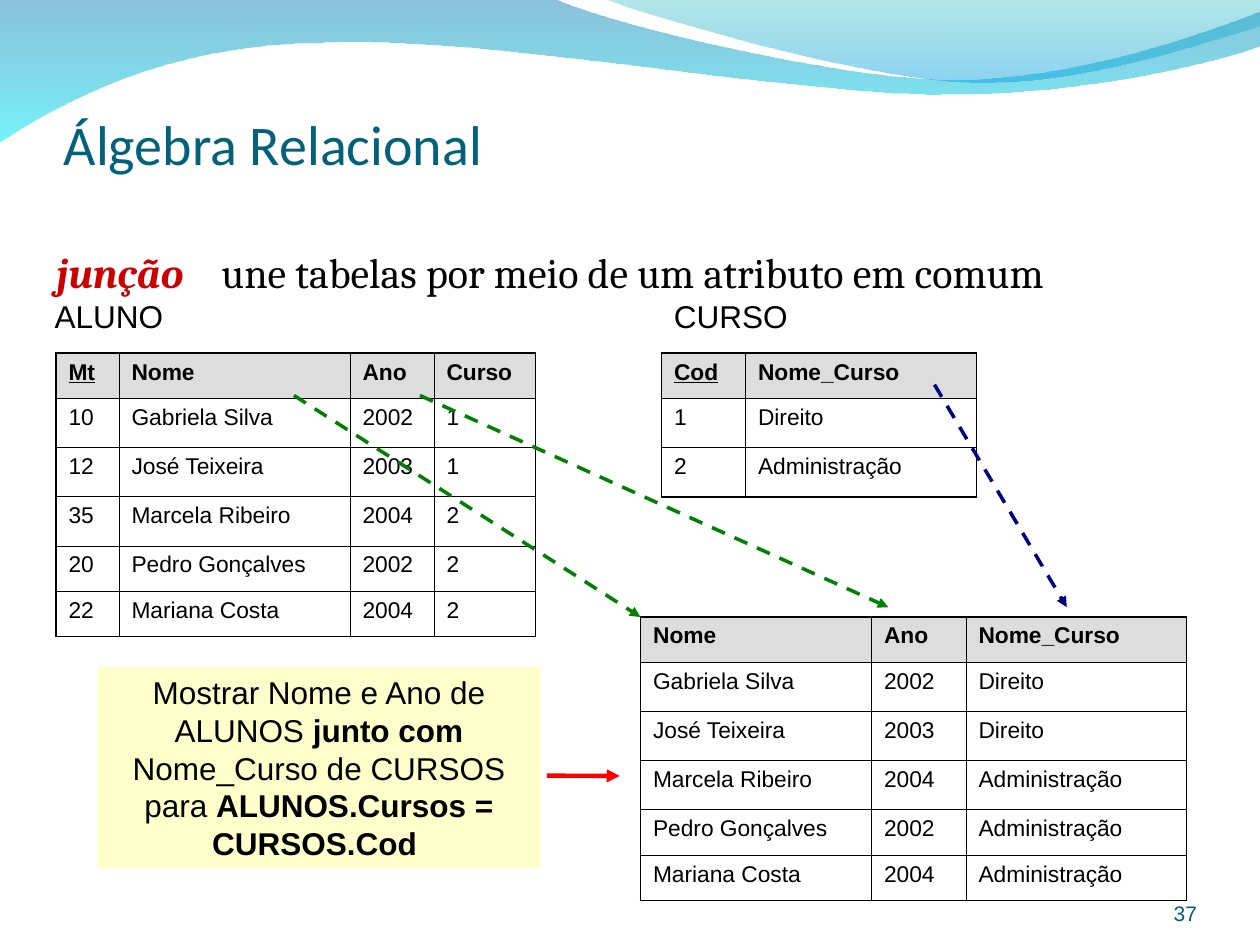
from dataclasses import dataclass

from lxml import etree
from pptx import Presentation
from pptx.dml.color import RGBColor
from pptx.enum.dml import MSO_LINE
from pptx.enum.shapes import MSO_CONNECTOR, MSO_SHAPE
from pptx.enum.text import MSO_ANCHOR, PP_ALIGN
from pptx.oxml.ns import qn
from pptx.util import Pt

STRAIGHT = MSO_CONNECTOR.STRAIGHT
RECTANGLE = MSO_SHAPE.RECTANGLE
DASH = MSO_LINE.DASH
TOP, BOTTOM = MSO_ANCHOR.TOP, MSO_ANCHOR.BOTTOM
LEFT, CENTER, RIGHT = PP_ALIGN.LEFT, PP_ALIGN.CENTER, PP_ALIGN.RIGHT

BLACK = "000000"
HEADER_GREY = "DDDDDD"
TALL, SHORT = 28.1, 25.9
DEFAULT_INSETS = (7.2, 3.6, 7.2, 3.6)


@dataclass
class Run:
    text: str
    color: str = BLACK
    bold: bool = False
    italic: bool = False


@dataclass
class TextBlock:
    box: tuple
    runs: list
    size: float
    font: str = "Arial"
    align: int = LEFT
    anchor: int = TOP
    insets: tuple = DEFAULT_INSETS
    wrap: bool = True
    fill: str = ""
    line_spacing: float = 1.0
    tab: float = 0


@dataclass
class Relation:
    left: float
    top: float
    columns: list
    heights: list
    rows: list
    has_key: bool = False


@dataclass
class Arrow:
    start: tuple
    end: tuple
    color: str
    width: float = 2
    dashed: bool = True


@dataclass
class Wave:
    start: tuple
    segments: list
    stops: list


WAVES = [
    Wave((0, -0.7), [
        [(316.8, -0.7)],
        [(342.7, 12.2), (478.1, 45.4), (545.8, 45.4)],
        [(614.2, 45.4), (689.8, 18.7), (720, 6.5)],
        [(720.7, 25.9)],
        [(707.8, 31.7), (626.4, 54.7), (537.1, 54)],
        [(447.8, 54), (275, 20.2), (185, 24.5)],
        [(92.9, 25.2), (33.1, 59.8), (-0.7, 81.4)],
    ], [("0079AF", 45), ("00EBF8", 55)]),
    Wave((344.9, -0.7), [
        [(366.5, 7.9), (491, 44.6), (553.7, 46.8)],
        [(616.3, 49.7), (691.9, 23), (720, 15.1)],
        [(720, 0)],
    ], [("00ADB6", 30), ("009BE5", 45)]),
]

TITLE = TextBlock((36.4, 55, 648, 46.1), [Run("Álgebra Relacional", "04617B")], 32,
                  "Calibri", anchor=BOTTOM, insets=(0, 3.6, 0, 0))
DEFINITION = TextBlock((25.2, 114.5, 678.2, 59.8), [
    Run("junção\t", "CC0000", True, True),
    Run("une tabelas por meio de um atributo em comum"),
], 24, "Cambria", line_spacing=1.8, tab=94.2)
PAGE_NUMBER = TextBlock((624.2, 500.4, 59.8, 28.8), [Run("37", "045C75")], 12,
                        align=RIGHT, anchor=BOTTOM, insets=(0, 0, 0, 0))
STUDENT_LABEL = TextBlock((24.2, 166, 76.3, 28.8), [Run("ALUNO")], 18, wrap=False)
COURSE_LABEL = TextBlock((378, 166, 79.2, 28.8), [Run("CURSO")], 18, wrap=False)
QUERY = TextBlock((55.7, 381.1, 253.1, 115.2), [
    Run("Mostrar Nome e Ano de ALUNOS "),
    Run("junto com ", bold=True),
    Run("Nome_Curso de CURSOS para "),
    Run("ALUNOS.Cursos = CURSOS.Cod ", bold=True),
], 18, align=CENTER, fill="FFFFCC")

STUDENTS = [
    ("10", "Gabriela Silva", "2002", "1"),
    ("12", "José Teixeira", "2003", "1"),
    ("35", "Marcela Ribeiro", "2004", "2"),
    ("20", "Pedro Gonçalves", "2002", "2"),
    ("22", "Mariana Costa", "2004", "2"),
]
COURSES = {"1": "Direito", "2": "Administração"}
JOINED = [(name, year, COURSES[code]) for _, name, year, code in STUDENTS]
SIX_ROWS = [SHORT, TALL, TALL, TALL, SHORT, SHORT]
RELATIONS = [
    Relation(32, 201.8, [36, 132, 48, 58], SIX_ROWS,
             [("Mt", "Nome", "Ano", "Curso"), *STUDENTS], True),
    Relation(378, 201.8, [48, 132], [SHORT, TALL, TALL],
             [("Cod", "Nome_Curso"), *COURSES.items()], True),
    Relation(366, 352.6, [132, 54, 126], SIX_ROWS,
             [("Nome", "Ano", "Nome_Curso"), *JOINED]),
]

RESULT_ARROW = Arrow((312.5, 443.2), (354.2, 443.4), "FF0000", 2.5, False)
COLUMN_ARROWS = [
    Arrow((168, 226), (366, 352.6), "008000"),
    Arrow((240, 226), (507.6, 347), "008000"),
    Arrow((534, 219.8), (609.6, 347), "000080"),
]


def rgb(color: str) -> RGBColor:
    return RGBColor.from_string(color)


def points(values) -> list:
    return [Pt(value) for value in values]


def bend_segments(band, segments: list) -> None:
    lines = iter(list(band._element.iter(qn("a:lnTo"))))
    for controls in segments:
        members = [next(lines) for _ in controls]
        if len(members) == 3:
            curve = etree.Element(qn("a:cubicBezTo"))
            members[0].addprevious(curve)
            for member in members:
                curve.append(member[0])
                member.getparent().remove(member)


def draw_wave(slide, wave: Wave) -> None:
    builder = slide.shapes.build_freeform(*points(wave.start))
    vertices = [points(vertex) for controls in wave.segments for vertex in controls]
    builder.add_line_segments(vertices, close=False)
    band = builder.convert_to_shape()
    bend_segments(band, wave.segments)
    for outline in band._element.iter(qn("a:path")):
        etree.SubElement(outline, qn("a:close"))
    band.shadow.inherit = False
    band.line.fill.background()
    band.fill.gradient()
    band.fill.gradient_angle = 270
    for stop, (color, _) in zip(band.fill.gradient_stops, wave.stops):
        stop.color.rgb = rgb(color)
    for tint, (_, opacity) in zip(band._element.spPr.iter(qn("a:srgbClr")), wave.stops):
        etree.SubElement(tint, qn("a:alpha"), val=str(opacity * 1000))


def draw_text(slide, block: TextBlock) -> None:
    box = points(block.box)
    if block.fill:
        holder = slide.shapes.add_shape(RECTANGLE, *box)
        holder.shadow.inherit = False
        holder.fill.solid()
        holder.fill.fore_color.rgb = rgb(block.fill)
        holder.line.fill.background()
    else:
        holder = slide.shapes.add_textbox(*box)
    frame = holder.text_frame
    frame.word_wrap = block.wrap
    frame.vertical_anchor = block.anchor
    (frame.margin_left, frame.margin_top,
     frame.margin_right, frame.margin_bottom) = points(block.insets)
    paragraph = frame.paragraphs[0]
    paragraph.alignment = block.align
    paragraph.line_spacing = block.line_spacing
    if block.tab:
        tabs = etree.SubElement(paragraph._p.get_or_add_pPr(), qn("a:tabLst"))
        etree.SubElement(tabs, qn("a:tab"), pos=str(Pt(block.tab)), algn="l")
    for part in block.runs:
        run = paragraph.add_run()
        run.text = part.text
        run.font.name, run.font.size = block.font, Pt(block.size)
        run.font.bold, run.font.italic = part.bold, part.italic
        run.font.color.rgb = rgb(part.color)


def set_border(cell, side: str, width: float) -> None:
    border = etree.SubElement(cell._tc.get_or_add_tcPr(), qn(f"a:ln{side}"), w=str(Pt(width)))
    ink = etree.SubElement(border, qn("a:solidFill"))
    etree.SubElement(ink, qn("a:srgbClr"), val=BLACK)


def draw_relation(slide, relation: Relation) -> None:
    last_row, last_column = len(relation.rows) - 1, len(relation.columns) - 1
    table = slide.shapes.add_table(
        last_row + 1, last_column + 1, Pt(relation.left), Pt(relation.top),
        Pt(sum(relation.columns)), Pt(sum(relation.heights))).table
    table.first_row = table.horz_banding = False
    for column, width in zip(table.columns, relation.columns):
        column.width = Pt(width)
    for r, (values, height) in enumerate(zip(relation.rows, relation.heights)):
        table.rows[r].height = Pt(height)
        for c, value in enumerate(values):
            cell = table.cell(r, c)
            outer = {"L": c == 0, "R": c == last_column, "T": r == 0, "B": r == last_row}
            for side, is_outer in outer.items():
                set_border(cell, side, 1.08 if is_outer else 0.45)
            if r == 0:
                cell.fill.solid()
                cell.fill.fore_color.rgb = rgb(HEADER_GREY)
            else:
                cell.fill.background()
            cell.text_frame.text = value
            font = cell.text_frame.paragraphs[0].runs[0].font
            font.name, font.size, font.bold = "Arial", Pt(13), r == 0
            font.underline = relation.has_key and r == c == 0
            font.color.rgb = rgb(BLACK)


def draw_arrow(slide, arrow: Arrow) -> None:
    link = slide.shapes.add_connector(STRAIGHT, *points(arrow.start + arrow.end))
    link.line.color.rgb = rgb(arrow.color)
    link.line.width = Pt(arrow.width)
    if arrow.dashed:
        link.line.dash_style = DASH
    etree.SubElement(link.line._get_or_add_ln(), qn("a:tailEnd"), type="triangle")
    etree.SubElement(link._element.spPr, qn("a:effectLst"))


def main() -> None:
    deck = Presentation()
    deck.slide_width, deck.slide_height = Pt(720), Pt(540)
    slide = deck.slides.add_slide(deck.slide_layouts[6])
    for wave in WAVES:
        draw_wave(slide, wave)
    for block in (TITLE, DEFINITION, PAGE_NUMBER, STUDENT_LABEL, QUERY):
        draw_text(slide, block)
    draw_arrow(slide, RESULT_ARROW)
    for relation in RELATIONS:
        draw_relation(slide, relation)
    draw_text(slide, COURSE_LABEL)
    for arrow in COLUMN_ARROWS:
        draw_arrow(slide, arrow)
    deck.save("out.pptx")


if __name__ == "__main__":
    main()
